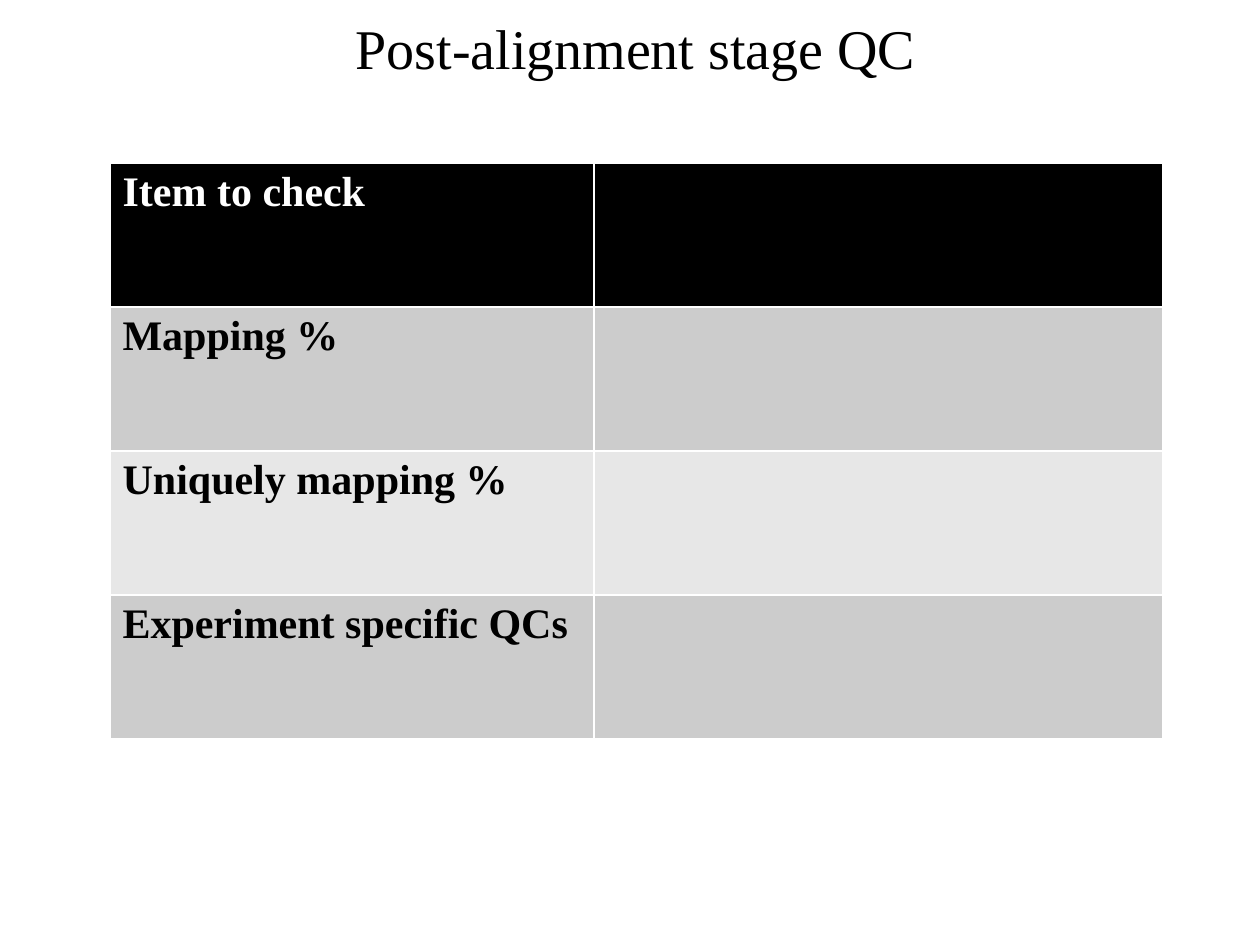
from pptx import Presentation
from pptx.dml.color import RGBColor
from pptx.enum.text import MSO_ANCHOR, PP_ALIGN
from pptx.util import Emu, Pt

PX = 914400 // 126
TITLE_ONLY = 5
CENTER, LEFT = PP_ALIGN.CENTER, PP_ALIGN.LEFT
MIDDLE, TOP = MSO_ANCHOR.MIDDLE, MSO_ANCHOR.TOP
FONT = "Times New Roman"
COLORS = {
    "ink": "000000",
    "paper": "FFFFFF",
    "odd_band": "CCCCCC",
    "even_band": "E7E7E7",
}
CHECKS = ["Item to check", "Mapping %", "Uniquely mapping %", "Experiment specific QCs"]
COLUMN_WIDTHS = [484, 569]
ROW_HEIGHT = 144


def px(length):
    """Turn pixels into EMU."""
    return Emu(length * PX)


def rgb(name):
    """Look up a named colour."""
    return RGBColor.from_string(COLORS[name])


def write(frame, text, *, size, color="ink", bold=False, align=LEFT):
    """Write one formatted paragraph into a text frame."""
    paragraph = frame.paragraphs[0]
    paragraph.alignment = align
    run = paragraph.add_run()
    run.text = text
    run.font.name = FONT
    run.font.size = Pt(size)
    run.font.bold = bold
    run.font.color.rgb = rgb(color)


def add_title(slide, text):
    """Place and format the slide title."""
    title = slide.shapes.title
    title.left, title.top, title.width, title.height = map(px, (69, 1, 1134, 93))
    title.text_frame.vertical_anchor = MIDDLE
    write(title.text_frame, text, size=32, align=CENTER)


def band_color(row_index):
    """Choose the fill of a table row."""
    if row_index == 0:
        return "ink"
    return "odd_band" if row_index % 2 else "even_band"


def add_checklist(slide, checks):
    """Add the table of checks with an empty column for results."""
    checklist = slide.shapes.add_table(
        len(checks), len(COLUMN_WIDTHS), px(110), px(163),
        px(sum(COLUMN_WIDTHS)), px(ROW_HEIGHT * len(checks)),
    ).table
    for column, width in zip(checklist.columns, COLUMN_WIDTHS):
        column.width = px(width)
    for index, (row, check) in enumerate(zip(checklist.rows, checks)):
        row.height = px(ROW_HEIGHT)
        for cell in row.cells:
            cell.fill.solid()
            cell.fill.fore_color.rgb = rgb(band_color(index))
            cell.vertical_anchor = TOP
        write(row.cells[0].text_frame, check, size=24, bold=True,
              color="ink" if index else "paper")


def main():
    """Build and save the slide."""
    deck = Presentation()
    deck.slide_width, deck.slide_height = px(1260), px(945)
    slide = deck.slides.add_slide(deck.slide_layouts[TITLE_ONLY])
    add_title(slide, "Post-alignment stage QC")
    add_checklist(slide, CHECKS)
    deck.save("out.pptx")


if __name__ == "__main__":
    main()
